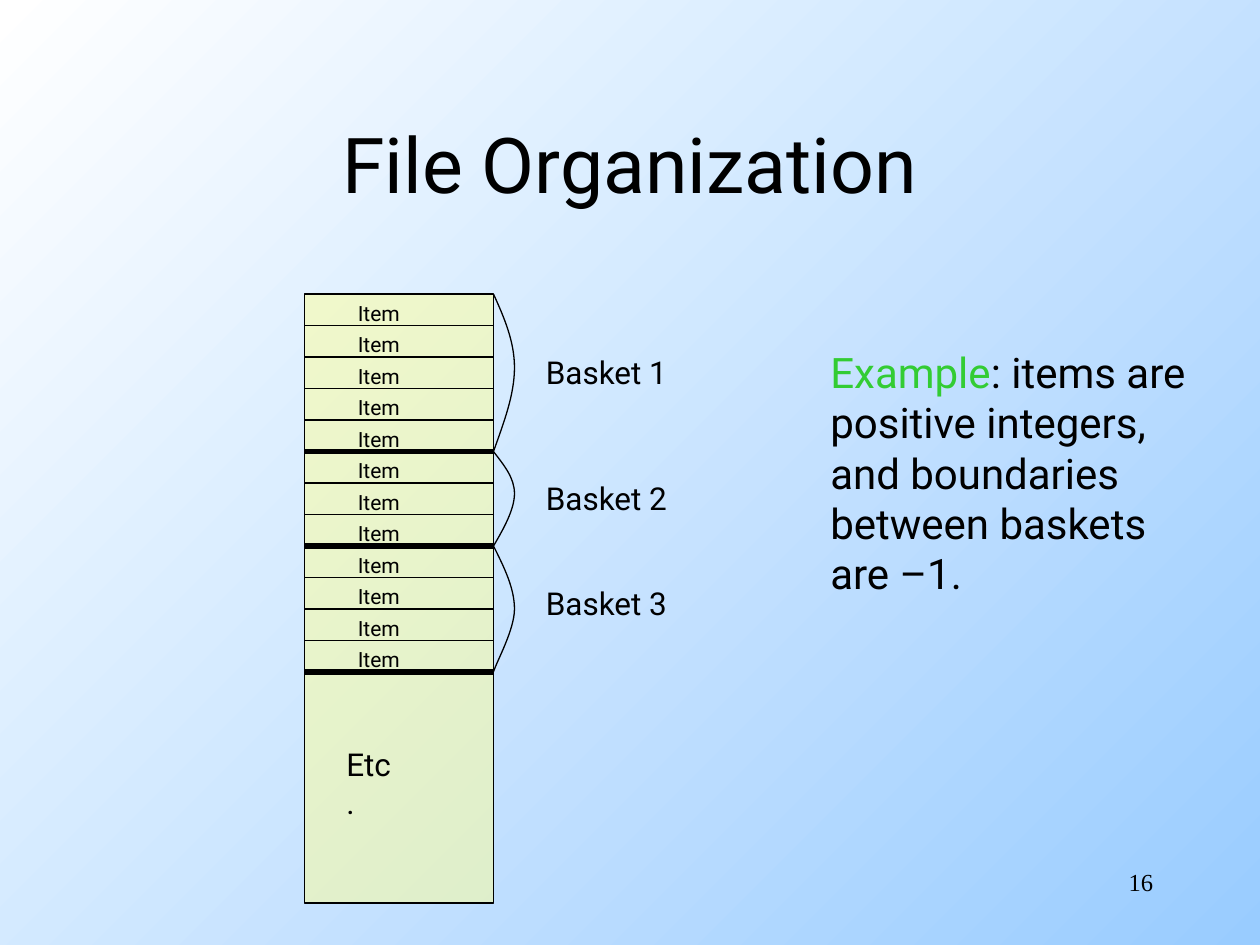
from dataclasses import dataclass

from lxml.etree import SubElement
from pptx import Presentation
from pptx.dml.color import RGBColor
from pptx.enum.shapes import MSO_CONNECTOR as Connector, MSO_SHAPE as Shape
from pptx.enum.text import MSO_ANCHOR as Anchor, PP_ALIGN as Align
from pptx.oxml.ns import qn
from pptx.util import Pt

PX = 7620  # EMU per px, 120 px to the inch
BLACK = RGBColor(0x00, 0x00, 0x00)
WHITE = RGBColor(0xFF, 0xFF, 0xFF)
SKY = RGBColor(0x99, 0xCC, 0xFF)
YELLOW = RGBColor(0xFF, 0xFF, 0x99)
GREEN = RGBColor(0x33, 0xCC, 0x33)
SANS, SERIF = "Roboto", "Times New Roman"

FILE_LEFT, FILE_TOP, FILE_WIDTH, FILE_HEIGHT = 290, 280, 180, 580
FILE_RIGHT = FILE_LEFT + FILE_WIDTH
ROW = 30
THIN, THICK = 0.75, 3


@dataclass(frozen=True)
class Basket:
    label: str
    items: int
    label_top: int
    curve_ys: tuple[int, ...]  # heights of the bracket's five inner points
    return_x: int = 10  # bulge of its last control point


BASKETS = (
    Basket("Basket 1", 5, 330, (22, 45, 70, 96, 122)),
    Basket("Basket 2", 3, 450, (13, 25, 40, 55, 73)),
    Basket("Basket 3", 4, 550, (20, 40, 60, 80, 110), 3),
)


def add_text(page, lines: list[str], left: int, top: int, width: int, height: int,
             size: int, font: str = SANS, align: Align = Align.LEFT):
    box = page.shapes.add_textbox(left * PX, top * PX, width * PX, height * PX)
    frame = box.text_frame
    frame.word_wrap = True
    for index, line in enumerate(lines):
        para = frame.add_paragraph() if index else frame.paragraphs[0]
        para.alignment = align
        para.font.size = Pt(size)
        para.font.name = font
        para.font.color.rgb = BLACK
        para.add_run().text = line
    return box


def add_divider(page, y: int, weight: float) -> None:
    line = page.shapes.add_connector(
        Connector.STRAIGHT, FILE_LEFT * PX, y * PX, FILE_RIGHT * PX, y * PX)
    line.line.color.rgb = BLACK
    line.line.width = Pt(weight)
    SubElement(line._element.spPr, qn("a:effectLst"))


def add_bracket(page, basket: Basket, top: int) -> None:
    xs = (10, 20, 20, 20, basket.return_x, 0)
    ys = (*basket.curve_ys, basket.items * ROW)
    builder = page.shapes.build_freeform(FILE_RIGHT, top, scale=PX)
    builder.add_line_segments(
        [(FILE_RIGHT + x, top + y) for x, y in zip(xs, ys)], close=False)
    bracket = builder.convert_to_shape()
    bracket.shadow.inherit = False
    bracket.fill.background()
    bracket.line.color.rgb = BLACK
    bracket.line.width = Pt(THIN)

    # Turn each three line segments into one cubic curve
    outline = next(bracket._element.iter(qn("a:path")))
    segments = outline.findall(qn("a:lnTo"))
    for start in range(0, len(segments), 3):
        curve = SubElement(outline, qn("a:cubicBezTo"))
        for segment in segments[start:start + 3]:
            curve.append(segment[0])
            outline.remove(segment)


def add_file_block(page) -> None:
    block = page.shapes.add_shape(
        Shape.RECTANGLE, FILE_LEFT * PX, FILE_TOP * PX, FILE_WIDTH * PX, FILE_HEIGHT * PX)
    block.shadow.inherit = False
    block.fill.solid()
    block.fill.fore_color.rgb = YELLOW
    block.line.color.rgb = BLACK
    block.line.width = Pt(THIN)
    color = next(block._element.spPr.iter(qn("a:srgbClr")))
    SubElement(color, qn("a:alpha"), val="50000")


def main() -> None:
    deck = Presentation()
    deck.slide_width, deck.slide_height = 1200 * PX, 900 * PX
    page = deck.slides.add_slide(deck.slide_layouts[6])

    # Background
    fill = page.background.fill
    fill.gradient()
    fill.gradient_angle = 315
    for stop, color in zip(fill.gradient_stops, (WHITE, SKY)):
        stop.color.rgb = color

    # Page number and title
    add_text(page, ["16"], 860, 820, 250, 60, 14, SERIF, Align.RIGHT)
    title = add_text(page, ["File Organization"], 90, 80, 1020, 150, 44, align=Align.CENTER)
    title.text_frame.vertical_anchor = Anchor.MIDDLE

    # File with its baskets of items
    add_file_block(page)
    top = FILE_TOP
    for basket in BASKETS:
        for row in range(basket.items):
            y = top + row * ROW
            add_divider(page, y + ROW, THICK if row == basket.items - 1 else THIN)
            add_text(page, ["Item"], 329, y, 67, 36, 12)
        add_text(page, [basket.label], 508, basket.label_top, 143, 48, 18)
        add_bracket(page, basket, top)
        top += basket.items * ROW
    add_text(page, ["Etc."], 318, 704, 73, 48, 18)

    # Example
    example = add_text(
        page,
        ["Example", "positive integers,", "and boundaries", "between baskets", "are –1."],
        779, 324, 382, 252, 24)
    opening = example.text_frame.paragraphs[0]
    opening.runs[0].font.color.rgb = GREEN
    opening.add_run().text = ": items are"

    deck.save("out.pptx")


if __name__ == "__main__":
    main()
